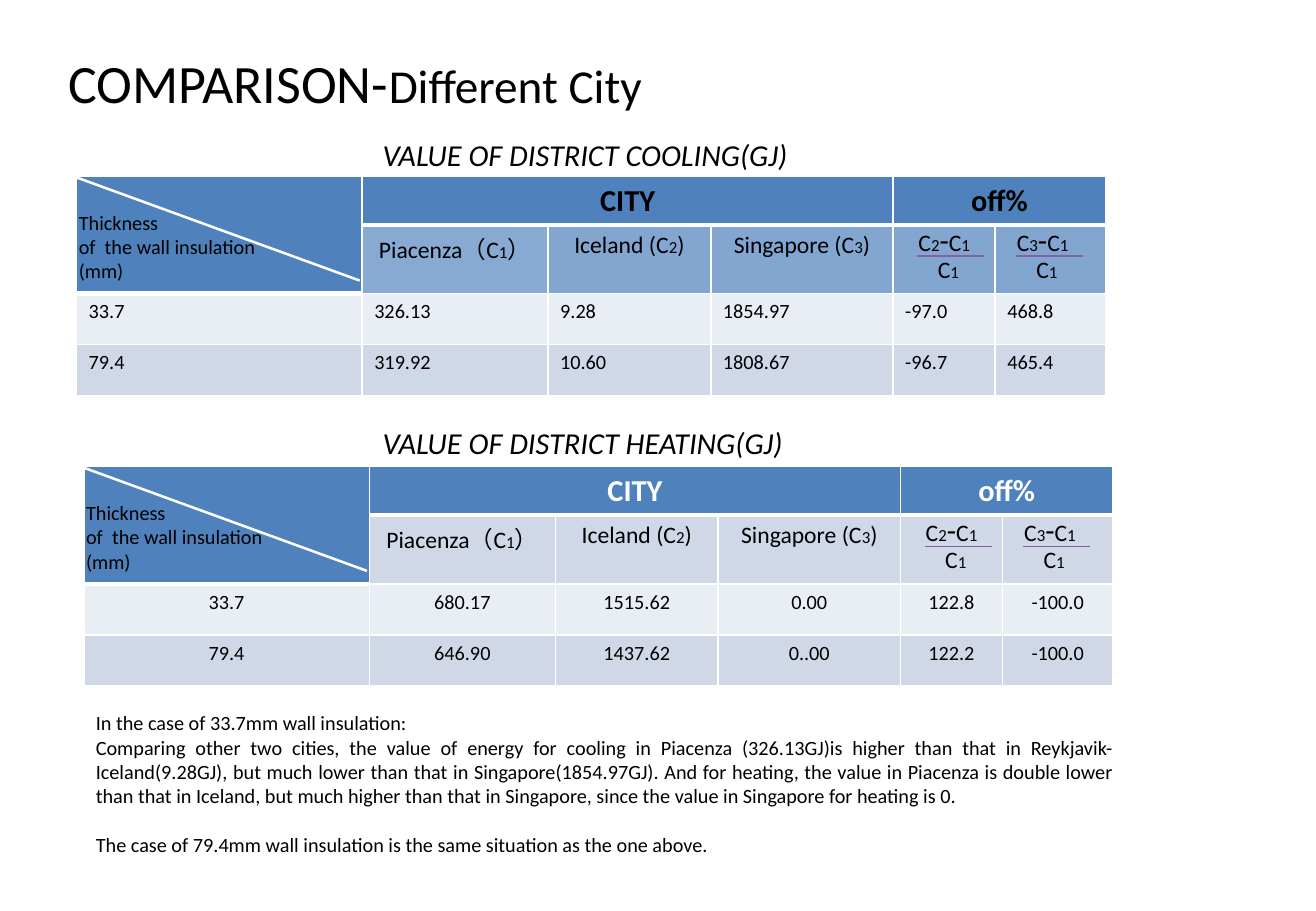
from itertools import groupby

from pptx import Presentation
from pptx.dml.color import RGBColor
from pptx.enum.shapes import MSO_CONNECTOR
from pptx.enum.text import MSO_ANCHOR, MSO_AUTO_SIZE, PP_ALIGN
from pptx.oxml.ns import qn
from pptx.util import Inches, Pt
from lxml.etree import SubElement

BLACK = RGBColor(0x00, 0x00, 0x00)
WHITE = RGBColor(0xFF, 0xFF, 0xFF)
BLUE = RGBColor(0x4F, 0x81, 0xBD)
PALE = RGBColor(0xE9, 0xED, 0xF4)
MIST = RGBColor(0xD0, 0xD8, 0xE8)
PURPLE = RGBColor(0x80, 0x64, 0xA2)

TITLE = [("COMPARISON-", 32), ("Different City", 28)]
CORNER = ["Thickness", "of  the wall insulation", "(mm)"]
CITIES = ["Piacenza（C1）", "Iceland (C2)", "Singapore (C3)"]
FRACTIONS = [("C2-C1", "C1"), ("C3-C1", "C1")]
COLUMNS = [2.35, 1.53, 1.34, 1.5, 0.84, 0.91]
ROWS = [0.4, 0.5, 0.42, 0.42]
COMMENTS = [
    "In the case of 33.7mm wall insulation:",
    "Comparing other two cities, the value of energy for cooling in Piacenza (326.13GJ)is higher than "
    "that in Reykjavik-Iceland(9.28GJ), but much lower than that in Singapore(1854.97GJ). And for "
    "heating, the value in Piacenza is double lower than that in Iceland, but much higher than that in "
    "Singapore, since the value in Singapore for heating is 0.",
    "The case of 79.4mm wall insulation is the same situation as the one above.",
]
TABLES = [
    {
        "caption": "VALUE OF DISTRICT COOLING(GJ)", "caption_at": (3.05, 1.07, 3.56, 0.4),
        "origin": (0.63, 1.45), "header": BLACK, "align": PP_ALIGN.LEFT,
        "city_fill": BLUE, "opacity": [67, 70, 70, 70, 71],
        "values": [["33.7", "326.13", "9.28", "1854.97", "-97.0", "468.8"],
                   ["79.4", "319.92", "10.60", "1808.67", "-96.7", "465.4"]],
    },
    {
        "caption": "VALUE OF DISTRICT HEATING(GJ)", "caption_at": (3.05, 3.44, 4.35, 0.4),
        "origin": (0.69, 3.84), "header": WHITE, "align": PP_ALIGN.CENTER,
        "city_fill": MIST, "opacity": [100] * 5,
        "values": [["33.7", "680.17", "1515.62", "0.00", "122.8", "-100.0"],
                   ["79.4", "646.90", "1437.62", "0..00", "122.2", "-100.0"]],
    },
]


def symbol_size(letter):
    return 10 if letter.isdigit() else 18 if letter == "-" else 14


def symbol_spans(text):
    return [("".join(letters), size) for size, letters in groupby(text, symbol_size)]


def write(para, spans, color=BLACK, align=PP_ALIGN.LEFT, bold=False, italic=False):
    para.alignment = align
    for text, size in spans:
        span = para.add_run()
        span.text = text
        span.font.color.rgb = color
        look = {"name": "Calibri", "size": Pt(size), "bold": bold, "italic": italic}
        for key, value in look.items():
            setattr(span.font, key, value)


def add_text(page, at, lines, **look):
    box = page.shapes.add_textbox(*map(Inches, at))
    frame = box.text_frame
    frame.word_wrap = True
    frame.auto_size = MSO_AUTO_SIZE.SHAPE_TO_FIT_TEXT
    for index, spans in enumerate(lines):
        write(frame.paragraphs[0] if index == 0 else frame.add_paragraph(), spans, **look)
    return frame


def add_line(page, start, end, color, width):
    line = page.shapes.add_connector(MSO_CONNECTOR.STRAIGHT, *map(Inches, start + end))
    line.line.color.rgb = color
    line.line.width = Pt(width)
    SubElement(line._element.spPr, qn("a:effectLst"))


def style_cell(cell, fill, opacity, thick):
    properties = cell._tc.get_or_add_tcPr()
    for side in "LRTB":
        width = Pt(3 if side in thick else 1)
        border = SubElement(properties, qn("a:ln" + side), w=str(width))
        paint = SubElement(border, qn("a:solidFill"))
        SubElement(paint, qn("a:srgbClr"), val=str(WHITE))
    cell.fill.solid()
    cell.fill.fore_color.rgb = fill
    if opacity < 100:
        tint = properties.find(qn("a:solidFill"))[0]
        SubElement(tint, qn("a:alpha"), val=str(opacity * 1000))


def add_grid(page, data):
    left, top = data["origin"]
    size = (sum(COLUMNS), sum(ROWS))
    table = page.shapes.add_table(len(ROWS), len(COLUMNS), *map(Inches, (left, top) + size)).table
    table.first_row = table.horz_banding = False
    for column, width in zip(table.columns, COLUMNS):
        column.width = Inches(width)
    for row, height in zip(table.rows, ROWS):
        row.height = Inches(height)

    fills = [BLUE, data["city_fill"], PALE, MIST]
    for r in range(len(ROWS)):
        for c in range(len(COLUMNS)):
            corner = r < 2 and c == 0
            opacity = data["opacity"][c - 1] if r == 1 and not corner else 100
            thick = "B" if r == 0 or corner else "T" if r == 1 or (r == 2 and c == 0) else ""
            style_cell(table.cell(r, c), BLUE if corner else fills[r], opacity, thick)
    for first, last in [((0, 0), (1, 0)), ((0, 1), (0, 3)), ((0, 4), (0, 5))]:
        table.cell(*first).merge(table.cell(*last))

    for c, text in [(1, "CITY"), (4, "off%")]:
        write(table.cell(0, c).text_frame.paragraphs[0], [(text, 18)],
              color=data["header"], align=PP_ALIGN.CENTER, bold=True)
    for c, city in enumerate(CITIES, 1):
        write(table.cell(1, c).text_frame.paragraphs[0], symbol_spans(city), align=PP_ALIGN.CENTER)
    for r, values in enumerate(data["values"], 2):
        for c, value in enumerate(values):
            write(table.cell(r, c).text_frame.paragraphs[0], [(value, 12)], align=data["align"])


def add_section(page, data):
    left, top = data["origin"]
    add_text(page, data["caption_at"], [[(data["caption"], 18)]], italic=True)
    add_grid(page, data)
    add_line(page, (left - 0.03, top), (left + 2.33, top + 0.86), WHITE, 1.5)
    add_text(page, (left - 0.08, top + 0.23, 2.72, 0.71), [[(line, 12)] for line in CORNER])
    for index, (upper, lower) in enumerate(FRACTIONS):
        x = left + 6.83 + index * 0.81
        add_text(page, (x, top + 0.32, 1.14, 0.4), [symbol_spans(upper)])
        add_text(page, (x + 0.16, top + 0.6, 1.14, 0.34), [symbol_spans(lower)])
        add_line(page, (x + 0.09, top + 0.66), (x + 0.64, top + 0.66), PURPLE, 1)


def main():
    deck = Presentation()
    deck.slide_width, deck.slide_height = Inches(10.83), Inches(7.5)
    page = deck.slides.add_slide(deck.slide_layouts[5])
    title = page.shapes.title
    place = dict(zip(("left", "top", "width", "height"), map(Inches, (0.46, 0.36, 6.61, 0.64))))
    for key, value in place.items():
        setattr(title, key, value)
    title.text_frame.vertical_anchor = MSO_ANCHOR.TOP
    title.text_frame.auto_size = MSO_AUTO_SIZE.SHAPE_TO_FIT_TEXT
    write(title.text_frame.paragraphs[0], TITLE)

    for data in TABLES:
        add_section(page, data)
    comments = add_text(page, (0.69, 5.8, 8.58, 1.31), [[(line, 12)] for line in COMMENTS],
                        align=PP_ALIGN.JUSTIFY)
    comments.paragraphs[-1].space_before = Pt(14.6)
    deck.save("out.pptx")


if __name__ == "__main__":
    main()
